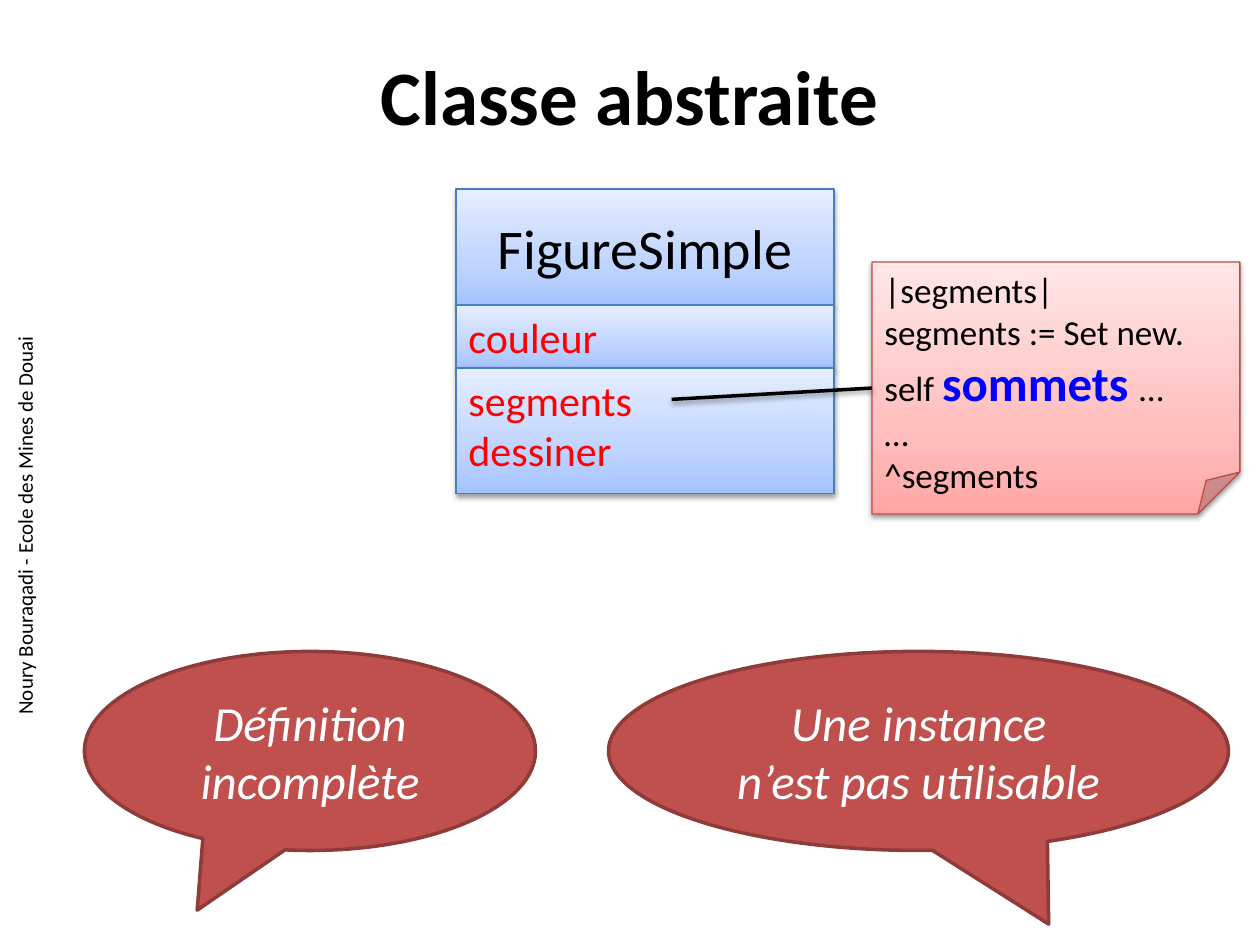
from dataclasses import dataclass

from lxml import etree
from pptx import Presentation
from pptx.dml.color import RGBColor
from pptx.enum.shapes import MSO_CONNECTOR, MSO_SHAPE
from pptx.enum.text import MSO_ANCHOR, PP_ALIGN
from pptx.oxml.ns import qn
from pptx.util import Inches, Pt

RECTANGLE = MSO_SHAPE.RECTANGLE
FOLDED_CORNER = MSO_SHAPE.FOLDED_CORNER
CALLOUT = MSO_SHAPE.OVAL_CALLOUT
STRAIGHT = MSO_CONNECTOR.STRAIGHT
TOP, MIDDLE = MSO_ANCHOR.TOP, MSO_ANCHOR.MIDDLE
LEFT, CENTER = PP_ALIGN.LEFT, PP_ALIGN.CENTER
LEFT_SIDE = 1


@dataclass(frozen=True)
class Theme:
    font: str = "Calibri"
    black: str = "000000"
    white: str = "FFFFFF"
    member: str = "FF0000"
    keyword: str = "0000FF"
    class_gradient: tuple = ((0, "A4C4FF"), (35, "BFD4FF"), (100, "E6EEFF"))
    class_line: str = "4B7EBC"
    note_gradient: tuple = ((0, "FFA6A5"), (35, "FFC0BF"), (100, "FFE7E7"))
    note_line: str = "BF4C48"
    callout_fill: str = "C0504D"
    callout_line: str = "8E3B39"
    title_size: int = 44
    class_size: int = 32
    callout_size: int = 28
    member_size: int = 24
    code_size: int = 20
    credit_size: int = 12
    thin: float = 0.75
    thick: float = 2


THEME = Theme()


@dataclass(frozen=True)
class Style:
    size: int
    color: str = THEME.black
    bold: bool = False
    italic: bool = False


def write_text(shape, paragraphs, align=LEFT, anchor=MIDDLE):
    """Fill a shape with paragraphs, each a list of (text, style) runs."""
    frame = shape.text_frame
    frame.word_wrap = True
    frame.vertical_anchor = anchor
    for index, runs in enumerate(paragraphs):
        paragraph = frame.paragraphs[0] if index == 0 else frame.add_paragraph()
        paragraph.alignment = align
        for text, style in runs:
            run = paragraph.add_run()
            run.text = text
            run.font.name = THEME.font
            run.font.size = Pt(style.size)
            run.font.bold = style.bold
            run.font.italic = style.italic
            run.font.color.rgb = RGBColor.from_string(style.color)


def plain_lines(style, *lines):
    return [[(line, style)] for line in lines]


def set_line(shape, color, width):
    shape.line.color.rgb = RGBColor.from_string(color)
    shape.line.width = Pt(width)


def set_gradient(shape, stops):
    shape.fill.gradient()
    shape.fill.gradient_angle = 90
    stop_list = shape._element.spPr.find(".//" + qn("a:gsLst"))
    for stop in list(stop_list):
        stop_list.remove(stop)
    for position, color in stops:
        stop = etree.SubElement(stop_list, qn("a:gs"), pos=str(position * 1000))
        etree.SubElement(stop, qn("a:srgbClr"), val=color)


def add_shadow(shape):
    """Append a soft downward shadow; fill and line must already be set."""
    effects = etree.SubElement(shape._element.spPr, qn("a:effectLst"))
    shadow = etree.SubElement(
        effects, qn("a:outerShdw"), blurRad=str(Pt(3.1)), dist=str(Pt(1.6)),
        dir="5400000", rotWithShape="0")
    color = etree.SubElement(shadow, qn("a:srgbClr"), val=THEME.black)
    etree.SubElement(color, qn("a:alpha"), val="38000")


def add_label(slide, box, text, style, rotation=0):
    label = slide.shapes.add_textbox(*map(Inches, box))
    label.rotation = rotation
    write_text(label, plain_lines(style, text), CENTER)


def add_gradient_box(shapes, kind, box, gradient, line_color):
    shape = shapes.add_shape(kind, *map(Inches, box))
    set_gradient(shape, gradient)
    set_line(shape, line_color, THEME.thin)
    add_shadow(shape)
    return shape


def add_class_box(slide, left, top, width, compartments):
    """Stack (height, paragraphs, align, anchor) compartments in one group."""
    group = slide.shapes.add_group_shape()
    for height, paragraphs, align, anchor in compartments:
        shape = add_gradient_box(group.shapes, RECTANGLE, (left, top, width, height),
                                 THEME.class_gradient, THEME.class_line)
        write_text(shape, paragraphs, align, anchor)
        top += height


def add_note(slide, box, paragraphs):
    note = add_gradient_box(slide.shapes, FOLDED_CORNER, box,
                            THEME.note_gradient, THEME.note_line)
    write_text(note, paragraphs, anchor=TOP)
    return note


def add_note_link(slide, start, note):
    x, y = map(Inches, start)
    link = slide.shapes.add_connector(STRAIGHT, x, y, x, y)
    link.end_connect(note, LEFT_SIDE)
    set_line(link, THEME.black, THEME.thick)
    add_shadow(link)


def add_callout(slide, left, width, tip, lines):
    callout = slide.shapes.add_shape(
        CALLOUT, Inches(left), Inches(5.17), Inches(width), Inches(1.58))
    callout.shadow.inherit = False
    callout.adjustments[0], callout.adjustments[1] = tip
    callout.fill.solid()
    callout.fill.fore_color.rgb = RGBColor.from_string(THEME.callout_fill)
    set_line(callout, THEME.callout_line, THEME.thick)
    style = Style(THEME.callout_size, THEME.white, italic=True)
    write_text(callout, plain_lines(style, *lines), CENTER)


def main():
    presentation = Presentation()
    presentation.slide_width, presentation.slide_height = Inches(10), Inches(7.5)
    slide = presentation.slides.add_slide(presentation.slide_layouts[6])

    add_label(slide, (0, 0, 10, 1.5), "Classe abstraite",
              Style(THEME.title_size, bold=True))
    add_label(slide, (-1.97, 3.97, 4.33, 0.4),
              "Noury Bouraqadi - Ecole des Mines de Douai",
              Style(THEME.credit_size), rotation=270)

    class_name = Style(THEME.class_size)
    member = Style(THEME.member_size, THEME.member)
    add_class_box(slide, 3.62, 1.5, 3, [
        (0.92, plain_lines(class_name, "FigureSimple"), CENTER, MIDDLE),
        (0.5, plain_lines(member, "couleur"), LEFT, MIDDLE),
        (1, plain_lines(member, "segments", "dessiner"), LEFT, TOP),
    ])

    code = Style(THEME.code_size)
    keyword = Style(THEME.callout_size, THEME.keyword, bold=True)
    note = add_note(slide, (6.92, 2.08, 2.92, 2), [
        *plain_lines(code, "|segments|", "segments := Set new."),
        [("self ", code), ("sommets ", keyword), ("…", code)],
        *plain_lines(code, "…", "^segments"),
    ])
    add_note_link(slide, (5.33, 3.17), note)

    add_callout(slide, 0.67, 3.58, (-0.25, 0.8), ("Définition", "incomplète"))
    add_callout(slide, 4.83, 4.92, (0.21, 0.87),
                ("Une instance", "n’est pas utilisable"))

    presentation.save("out.pptx")


if __name__ == "__main__":
    main()
